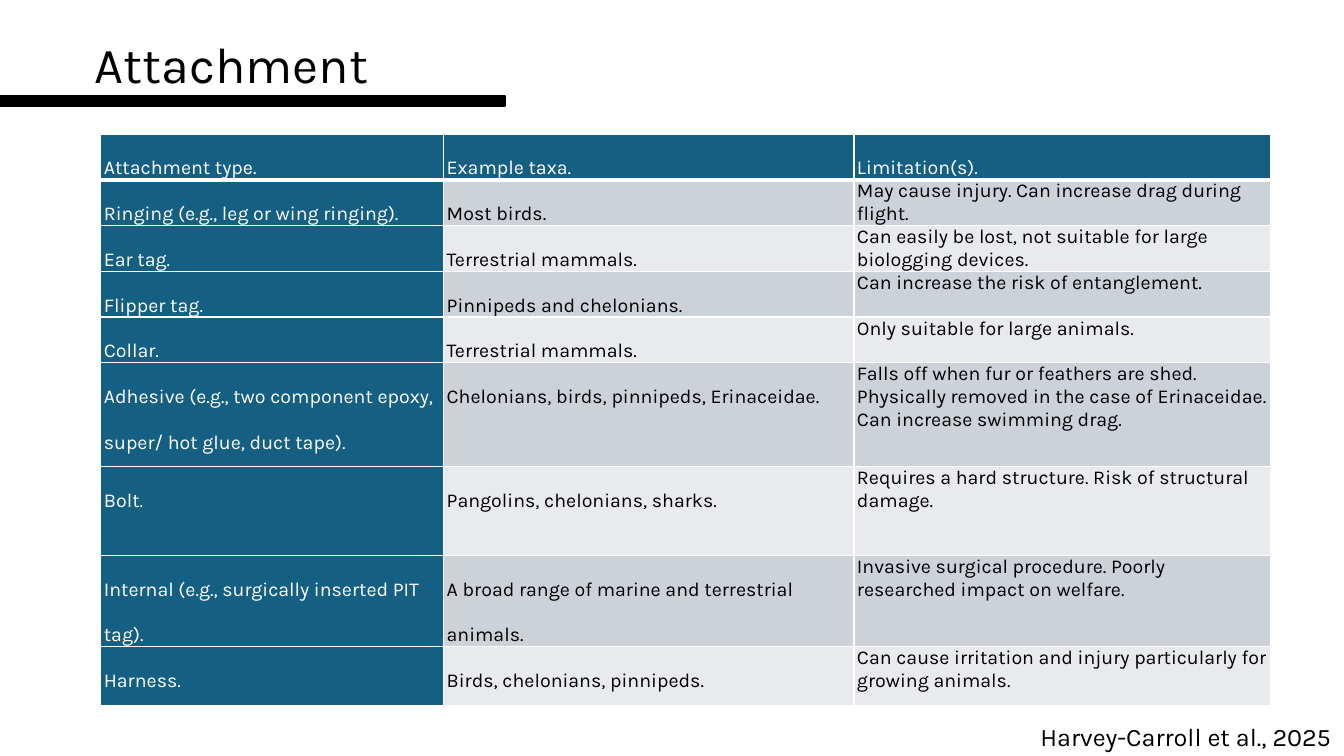
import pptx
import pptx.util
import pptx.enum.shapes
import pptx.enum.text
import pptx.dml.color
import pptx.oxml
import pptx.oxml.ns
from pptx.util import Inches

COLORS = {
    "text": "000000",
    "paper": "FFFFFF",
    "heading": "156082",
    "band_dark": "CCD2D8",
    "band_light": "E8EAED",
}

COLUMN_WIDTHS = [3.4, 4.07, 4.13]
ATTACHMENTS = [
    (0.28, "Attachment type.", "Example taxa.", "Limitation(s)."),
    (0.43, "Ringing (e.g., leg or wing ringing).", "Most birds.",
     "May cause injury. Can increase drag during flight."),
    (0.43, "Ear tag.", "Terrestrial mammals.",
     "Can easily be lost, not suitable for large biologging devices."),
    (0.28, "Flipper tag.", "Pinnipeds and chelonians.",
     "Can increase the risk of entanglement."),
    (0.28, "Collar.", "Terrestrial mammals.", "Only suitable for large animals."),
    (1.03, "Adhesive (e.g., two component epoxy, super/ hot glue, duct tape).",
     "Chelonians, birds, pinnipeds, Erinaceidae.",
     "Falls off when fur or feathers are shed. Physically removed in the case "
     "of Erinaceidae. Can increase swimming drag."),
    (0.88, "Bolt.", "Pangolins, chelonians, sharks.",
     "Requires a hard structure. Risk of structural damage."),
    (0.58, "Internal (e.g., surgically inserted PIT tag).",
     "A broad range of marine and terrestrial animals.",
     "Invasive surgical procedure. Poorly researched impact on welfare."),
    (0.58, "Harness.", "Birds, chelonians, pinnipeds.",
     "Can cause irritation and injury particularly for growing animals."),
]


def rgb(name):
    return pptx.dml.color.RGBColor.from_string(COLORS[name])


def write_text(frame, text, font="Karla", size=14, color="text", spacing=1.0,
               before=0, after=0, align=pptx.enum.text.PP_ALIGN.LEFT):
    frame.word_wrap = True
    paragraph = frame.paragraphs[0]
    paragraph.alignment = align
    paragraph.line_spacing = spacing
    paragraph.space_before = pptx.util.Pt(before)
    paragraph.space_after = pptx.util.Pt(after)
    run = paragraph.add_run()
    run.text = text
    run.font.name = font
    run.font.size = pptx.util.Pt(size)
    run.font.bold = False
    run.font.color.rgb = rgb(color)


class AttachmentSlide:
    def __init__(self, presentation, font):
        self.font = font
        self.slide = presentation.slides.add_slide(presentation.slide_layouts[5])

    def title(self, text, left, top, width, height):
        heading = self.slide.shapes.title
        heading.left, heading.top = Inches(left), Inches(top)
        heading.width, heading.height = Inches(width), Inches(height)
        heading.text_frame.vertical_anchor = pptx.enum.text.MSO_ANCHOR.MIDDLE
        write_text(heading.text_frame, text, font=self.font, size=36, spacing=0.9)

    def bar(self, left, top, width, height):
        underline = self.slide.shapes.add_shape(
            pptx.enum.shapes.MSO_SHAPE.RECTANGLE,
            Inches(left), Inches(top), Inches(width), Inches(height))
        underline.shadow.inherit = False
        underline.fill.solid()
        underline.fill.fore_color.rgb = rgb("text")
        underline.line.color.rgb = rgb("text")
        underline.line.width = pptx.util.Pt(1.5)

    def caption(self, text, left, top, width, height):
        citation = self.slide.shapes.add_textbox(
            Inches(left), Inches(top), Inches(width), Inches(height))
        write_text(citation.text_frame, text, font=self.font, size=18)
        citation.text_frame.auto_size = pptx.enum.text.MSO_AUTO_SIZE.SHAPE_TO_FIT_TEXT

    def borders(self, cell, bottom):
        properties = cell._tc.get_or_add_tcPr()
        for side, points in {"L": 1, "R": 1, "T": 1, "B": bottom}.items():
            properties.append(pptx.oxml.parse_xml(
                f'<a:ln{side} {pptx.oxml.ns.nsdecls("a")} w="{pptx.util.Pt(points)}">'
                f'<a:solidFill><a:srgbClr val="{COLORS["paper"]}"/></a:solidFill>'
                f'</a:ln{side}>'))

    def cell(self, cell, text, row, column):
        is_heading = row == 0 or column == 0
        band = "band_dark" if row % 2 else "band_light"
        self.borders(cell, bottom=3 if row == 0 else 1)
        cell.fill.solid()
        cell.fill.fore_color.rgb = rgb("heading" if is_heading else band)
        cell.margin_left = cell.margin_right = Inches(0.03)
        cell.margin_top = cell.margin_bottom = 0
        write_text(cell.text_frame, text, font=self.font,
                   color="paper" if is_heading else "text",
                   spacing=1.0 if row and column == 2 else 2.0,
                   before=12, after=8)

    def table(self, rows, widths, left, top, height):
        frame = self.slide.shapes.add_table(
            len(rows), len(widths), Inches(left), Inches(top),
            Inches(sum(widths)), Inches(height))
        grid = frame.table
        grid.first_row = grid.horz_banding = False
        for column, width in zip(grid.columns, widths):
            column.width = Inches(width)
        for row, (row_height, *texts) in enumerate(rows):
            grid.rows[row].height = Inches(row_height)
            for column, text in enumerate(texts):
                self.cell(grid.cell(row, column), text, row, column)
        frame.height = Inches(height)


def main():
    presentation = pptx.Presentation()
    presentation.slide_width = Inches(13.33)
    presentation.slide_height = Inches(7.5)
    page = AttachmentSlide(presentation, "Karla")
    page.table(ATTACHMENTS, COLUMN_WIDTHS, 1, 1.33, 5.5)
    page.caption("Harvey-Carroll et al., 2025", 10.22, 7.11, 3.26, 0.4)
    page.title("Attachment", 0.84, -0.06, 11.5, 1.45)
    page.bar(0, 0.95, 5.01, 0.1)
    presentation.save("out.pptx")


if __name__ == "__main__":
    main()
